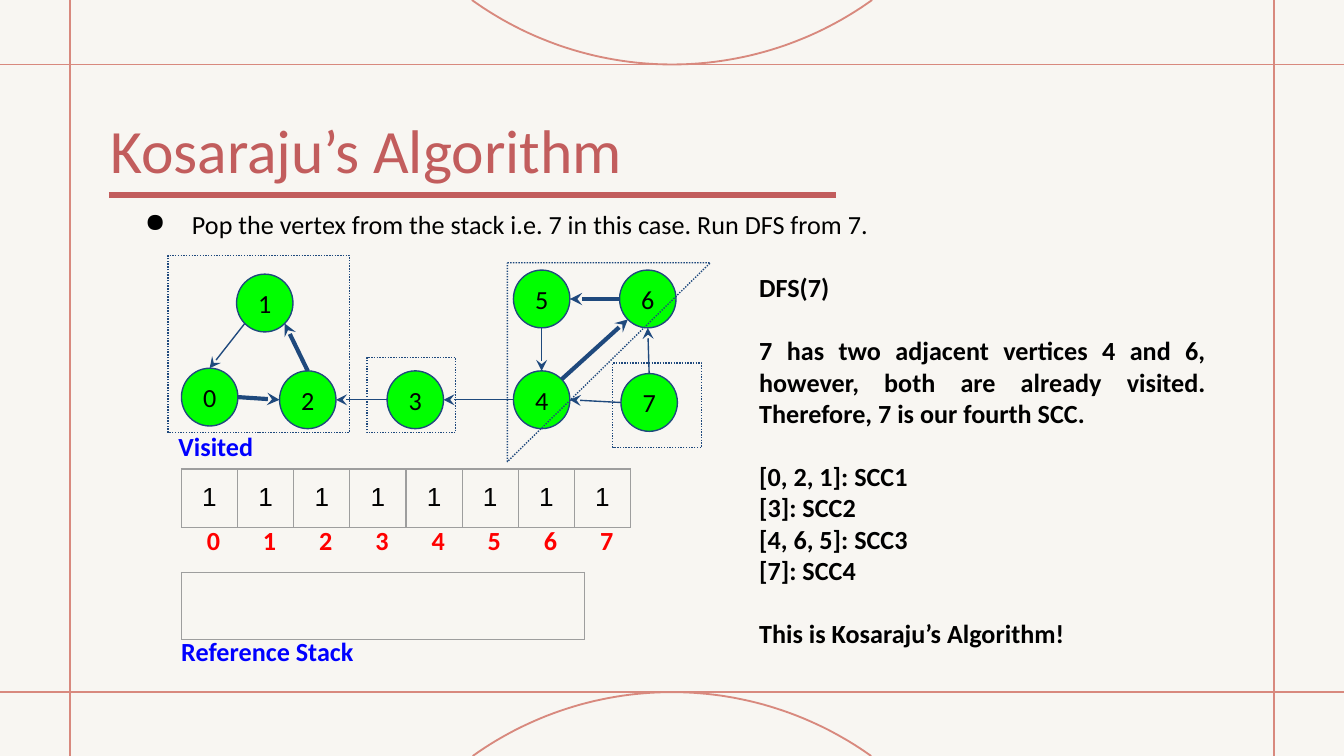
import math
from typing import NamedTuple

from lxml import etree
from pptx import Presentation
from pptx.dml.color import RGBColor
from pptx.enum.dml import MSO_LINE
from pptx.enum.shapes import MSO_CONNECTOR, MSO_SHAPE
from pptx.enum.text import MSO_ANCHOR, PP_ALIGN
from pptx.oxml.ns import qn
from pptx.util import Inches, Pt

OVAL, RECT, TRIANGLE = MSO_SHAPE.OVAL, MSO_SHAPE.RECTANGLE, MSO_SHAPE.RIGHT_TRIANGLE
STRAIGHT, DOT = MSO_CONNECTOR.STRAIGHT, MSO_LINE.ROUND_DOT
LEFT, CENTER, JUSTIFY = PP_ALIGN.LEFT, PP_ALIGN.CENTER, PP_ALIGN.JUSTIFY
TOP, MIDDLE = MSO_ANCHOR.TOP, MSO_ANCHOR.MIDDLE

COLS, ROWS = 100, 56.25
PAPER, FRAME, ACCENT = "F8F6F2", "D8897E", "C25D5D"
NAVY, GREEN, BLUE, RED, BLACK, GREY = "1F497D", "00FF00", "0000FF", "FF0000", "000000", "9E9E9E"
NODE_W, NODE_H, CELL_W = 4.2, 4.3, 4.18
DIAG = math.sqrt(0.5)
SITES = {"n": (0, -1), "s": (0, 1), "w": (-1, 0), "e": (1, 0),
         "ne": (DIAG, -DIAG), "se": (DIAG, DIAG), "sw": (-DIAG, DIAG)}


class Point(NamedTuple):
    x: float
    y: float


class Box(NamedTuple):
    x: float
    y: float
    w: float
    h: float


class Edge(NamedTuple):
    start: int
    start_site: str
    end: int
    end_site: str
    width: float


class Component(NamedTuple):
    kind: int
    box: Box
    rotation: int = 0


NODES = {0: Point(13.5, 27.4), 2: Point(20.8, 27.6), 1: Point(17.6, 20.4), 3: Point(28.8, 27.6),
         4: Point(38.2, 27.6), 7: Point(46.2, 27.8), 6: Point(46.1, 20.1), 5: Point(38.2, 20.1)}
TREE, PLAIN = 2.25, 0.75
EDGES = [Edge(0, "e", 2, "w", TREE), Edge(3, "w", 2, "e", PLAIN), Edge(4, "w", 3, "e", PLAIN),
         Edge(5, "s", 4, "n", PLAIN), Edge(6, "w", 5, "e", TREE), Edge(7, "n", 6, "s", PLAIN),
         Edge(4, "ne", 6, "sw", TREE), Edge(7, "w", 4, "e", PLAIN), Edge(2, "n", 1, "se", TREE),
         Edge(1, "sw", 0, "n", PLAIN)]
COMPONENTS = [Component(RECT, Box(12.5, 19, 13.5, 13.2)), Component(RECT, Box(27.3, 26.6, 6.6, 5.6)),
              Component(TRIANGLE, Box(37.9, 19.4, 14.8, 15.1), 90),
              Component(RECT, Box(45.6, 27, 6.6, 6.3))]
NOTES = [["DFS(7)"],
         ["7 has two adjacent vertices 4 and 6, however, both are already visited. "
          "Therefore, 7 is our fourth SCC."],
         ["[0, 2, 1]: SCC1", "[3]: SCC2", "[4, 6, 5]: SCC3", "[7]: SCC4"],
         ["This is Kosaraju’s Algorithm!"]]


def u(n: float) -> int:
    return Inches(n / 10)


def rgb(color: str) -> RGBColor:
    return RGBColor.from_string(color)


def style(p, color: str, size: float = 14, bold: bool = False, align=LEFT, font: str = "Calibri"):
    p.alignment = align
    p.font.name, p.font.size, p.font.bold = font, Pt(size), bold
    p.font.color.rgb = rgb(color)


def add_line(s, a: Point, b: Point, color: str, width: float, arrow: bool = False):
    c = s.shapes.add_connector(STRAIGHT, u(a.x), u(a.y), u(b.x), u(b.y))
    c.line.color.rgb, c.line.width = rgb(color), Pt(width)
    if arrow:
        etree.SubElement(c.line._get_or_add_ln(), qn("a:tailEnd"), type="stealth")
    etree.SubElement(c._element.spPr, qn("a:effectLst"))


def add_arc(s, edge: float, bottom: float, radius: float, rise: float):
    half = math.asin(math.sqrt(radius ** 2 - (radius - rise) ** 2) / radius)
    side = 1 if bottom > edge else -1
    angles = [half * i / 30 for i in range(-30, 31)]
    points = [(u(COLS / 2 + radius * math.sin(t)), u(bottom - side * radius * (1 - math.cos(t))))
              for t in angles]
    fb = s.shapes.build_freeform(*points[0])
    fb.add_line_segments(points[1:], close=False)
    sp = fb.convert_to_shape()
    sp.shadow.inherit = False
    sp.fill.background()
    sp.line.color.rgb, sp.line.width = rgb(FRAME), Pt(1)


def add_shape(s, kind: int, box: Box):
    sp = s.shapes.add_shape(kind, *map(u, box))
    sp.shadow.inherit = False
    sp.line.color.rgb, sp.line.width = rgb(NAVY), Pt(0.75)
    return sp


def add_node(s, label: int, at: Point):
    sp = add_shape(s, OVAL, Box(at.x, at.y, NODE_W, NODE_H))
    sp.fill.solid()
    sp.fill.fore_color.rgb = rgb(GREEN)
    tf = sp.text_frame
    tf.vertical_anchor = MIDDLE
    tf.margin_left = tf.margin_right = tf.margin_top = tf.margin_bottom = u(1)
    tf.text = str(label)
    style(tf.paragraphs[0], BLACK, align=CENTER)


def site(node: int, name: str) -> Point:
    at, (dx, dy) = NODES[node], SITES[name]
    return Point(at.x + NODE_W / 2 * (1 + dx), at.y + NODE_H / 2 * (1 + dy))


def add_component(s, c: Component):
    sp = add_shape(s, c.kind, c.box)
    sp.fill.background()
    sp.line.dash_style = DOT
    sp.rotation = c.rotation


def add_text(s, box: Box, text: str, color: str, bold: bool = False, align=LEFT):
    tf = s.shapes.add_textbox(*map(u, box)).text_frame
    tf.word_wrap = True
    tf.margin_left = tf.margin_right = tf.margin_top = tf.margin_bottom = u(1)
    tf.text = text
    for p in tf.paragraphs:
        style(p, color, bold=bold, align=align)
    return tf


def add_row(s, box: Box, values: list[str]):
    table = s.shapes.add_table(1, len(values), *map(u, box)).table
    table.first_row = table.horz_banding = False
    for cell, value in zip(table.iter_cells(), values):
        cell.fill.background()
        cell.margin_left = cell.margin_right = cell.margin_top = cell.margin_bottom = u(1)
        cell.text = value
        style(cell.text_frame.paragraphs[0], BLACK, align=CENTER, font="Arial")
        pr = cell._tc.get_or_add_tcPr()
        for i, tag in enumerate(("a:lnL", "a:lnR", "a:lnT", "a:lnB")):
            ln = etree.Element(qn(tag), w=str(Pt(0.75)))
            fill = etree.SubElement(ln, qn("a:solidFill"))
            etree.SubElement(fill, qn("a:srgbClr"), val=GREY)
            pr.insert(i, ln)


def add_bullet(p):
    pr = p._p.get_or_add_pPr()
    pr.set("marL", str(u(5)))
    pr.set("indent", str(u(-3.5)))
    color = etree.Element(qn("a:buClr"))
    etree.SubElement(color, qn("a:srgbClr"), val=BLACK)
    pr.insert(0, color)
    pr.insert(1, etree.Element(qn("a:buChar"), char="●"))


def add_tabs(p, count: int, step: float):
    tabs = etree.Element(qn("a:tabLst"))
    for i in range(1, count):
        etree.SubElement(tabs, qn("a:tab"), pos=str(u(i * step)), algn="l")
    p._p.get_or_add_pPr().insert(0, tabs)


def main():
    prs = Presentation()
    prs.slide_width, prs.slide_height = u(COLS), u(ROWS)
    s = prs.slides.add_slide(prs.slide_layouts[5])
    s.background.fill.solid()
    s.background.fill.fore_color.rgb = rgb(PAPER)

    for y in (51.5, 4.8):
        add_line(s, Point(0, y), Point(COLS, y), FRAME, 1)
    for x in (94.8, 5.2):
        add_line(s, Point(x, 0), Point(x, ROWS), FRAME, 1)
    add_arc(s, 0, 4.8, 25.5, 4.8)
    add_arc(s, ROWS, 51.5, 25.5, ROWS - 51.5)
    add_line(s, Point(8.1, 14.5), Point(62.2, 14.5), ACCENT, 3)

    title = s.shapes.title
    title.left, title.top, title.width, title.height = map(u, Box(8.2, 8.3, 46.2, 5.6))
    tf = title.text_frame
    tf.margin_left = tf.margin_right = tf.margin_top = tf.margin_bottom = 0
    tf.vertical_anchor = TOP
    tf.text = "Kosaraju’s Algorithm"
    style(tf.paragraphs[0], ACCENT, 33)

    for label, at in NODES.items():
        add_node(s, label, at)
    for e in EDGES:
        add_line(s, site(e.start, e.start_site), site(e.end, e.end_site), NAVY, e.width, True)

    add_row(s, Box(13.5, 42.6, 30, 5), [""])
    add_text(s, Box(12.5, 46.3, 16.8, 5.8), "Reference Stack", BLUE, True)
    add_row(s, Box(13.5, 34.9, 8 * CELL_W, 4.3), ["1"] * 8)
    add_text(s, Box(12.3, 31, 8, 5.8), "Visited", BLUE, True)
    indices = add_text(s, Box(14.4, 38, 46.2, 4.4), "\t".join(map(str, range(8))), RED, True)
    add_tabs(indices.paragraphs[0], 8, CELL_W)

    notes = add_text(s, Box(55.5, 19.2, 35.2, 30.3), "\n".join(line for block in NOTES for line in block),
                     BLACK, True, JUSTIFY)
    first = 0
    for block in NOTES[:-1]:
        first += len(block)
        notes.paragraphs[first].space_before = Pt(17)

    for c in COMPONENTS:
        add_component(s, c)
    bullet = add_text(s, Box(8.3, 14.5, 71.9, 4.4),
                      "Pop the vertex from the stack i.e. 7 in this case. Run DFS from 7.", BLACK)
    add_bullet(bullet.paragraphs[0])
    prs.save("out.pptx")


if __name__ == "__main__":
    main()
